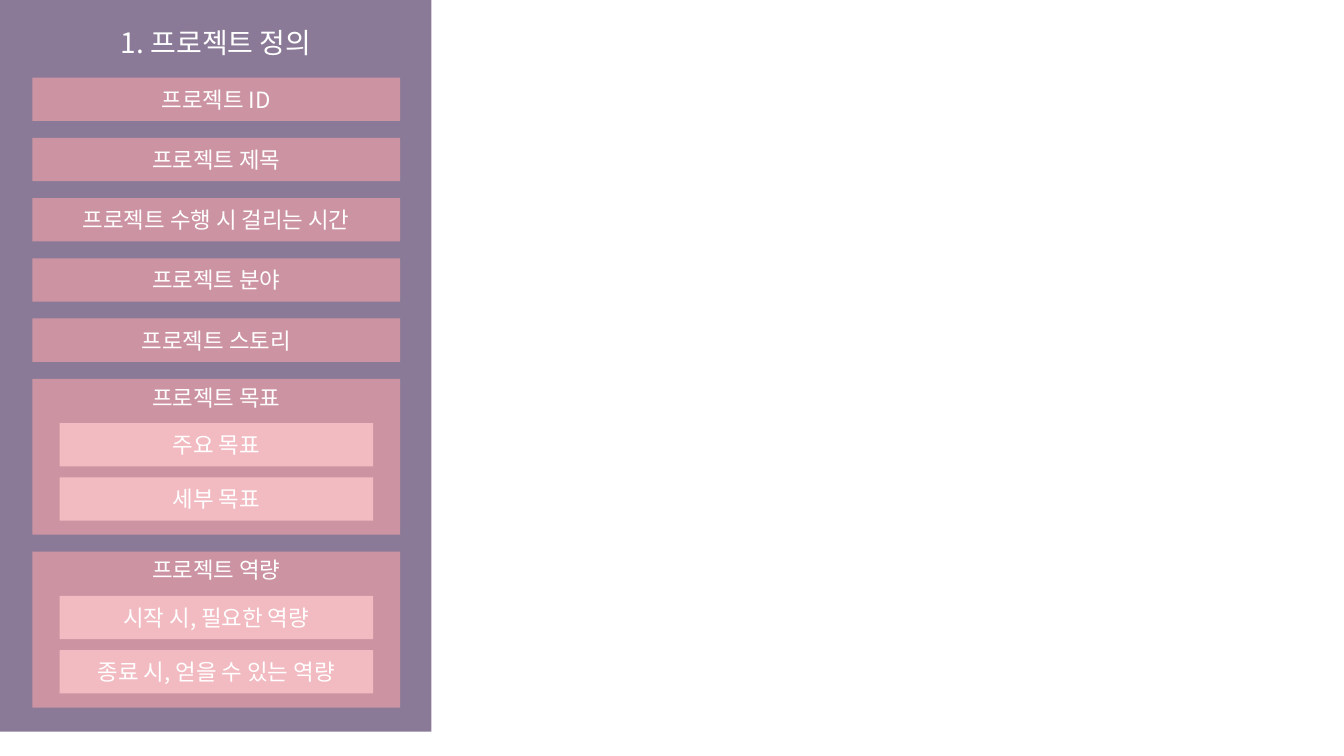
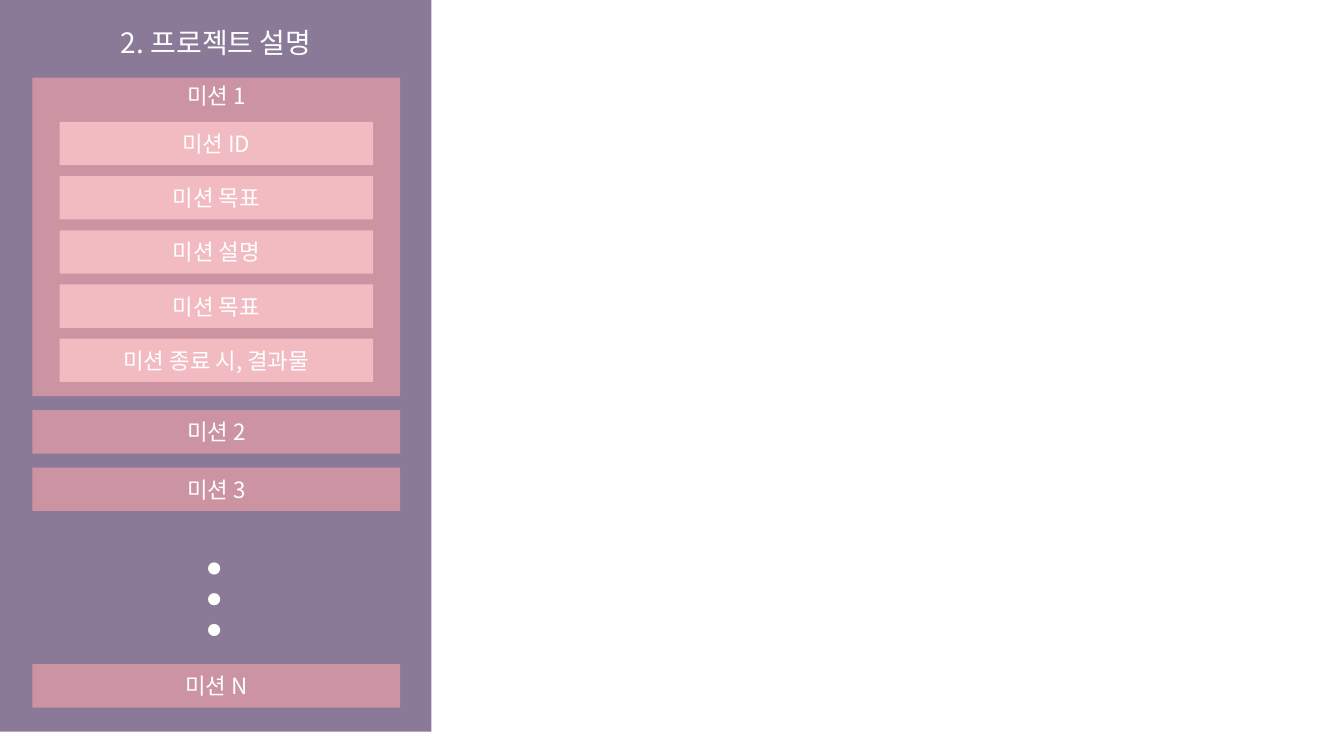
from lxml import etree
from pptx import Presentation
from pptx.dml.color import RGBColor
from pptx.enum import shapes, text
from pptx.oxml import ns
from pptx.util import Inches, Pt

DEFINITION = [
    ("프로젝트 ID", []),
    ("프로젝트 제목", []),
    ("프로젝트 수행 시 걸리는 시간", []),
    ("프로젝트 분야", []),
    ("프로젝트 스토리", []),
    ("프로젝트 목표", ["주요 목표", "세부 목표"]),
    ("프로젝트 역량", ["시작 시, 필요한 역량", "종료 시, 얻을 수 있는 역량"]),
]
FIRST_MISSIONS = [
    ("미션 1", ["미션 ID", "미션 목표", "미션 설명", "미션 목표", "미션 종료 시, 결과물"]),
    ("미션 2", []),
    ("미션 3", []),
]
LAST_MISSION = [("미션 N", [])]

COLORS = {"panel": "8A7A97", "section": "CC93A2", "detail": "F2BBC1", "text": "FFFFFF"}
FONT = "Noto Sans CJK KR"
PANEL_WIDTH, PANEL_HEIGHT = 4.28, 7.26
LEFT, WIDTH = 0.32, 3.65
TOP, BOTTOM = 0.77, 7.02
BAR = 0.43
INDENT = 0.27
HEADING, FOOT = 0.44, 0.14
DETAIL_GAP = BAR / 4
MISSION_GAP = 0.14


def write(holder, words, size, anchor=text.MSO_ANCHOR.MIDDLE):
    frame = holder.text_frame
    frame.text = words
    frame.word_wrap = True
    frame.auto_size = text.MSO_AUTO_SIZE.NONE
    frame.vertical_anchor = anchor
    paragraph = frame.paragraphs[0]
    paragraph.alignment = text.PP_ALIGN.CENTER
    font = paragraph.font
    font.size = Pt(size)
    font.color.rgb = RGBColor.from_string(COLORS["text"])
    font.name = FONT
    defaults = paragraph._p.pPr.find(ns.qn("a:defRPr"))
    etree.SubElement(defaults, ns.qn("a:ea")).set("typeface", FONT)


def add_box(slide, left, top, width, height, color):
    box = slide.shapes.add_shape(
        shapes.MSO_SHAPE.RECTANGLE, Inches(left), Inches(top), Inches(width), Inches(height))
    box.shadow.inherit = False
    box.fill.solid()
    box.fill.fore_color.rgb = RGBColor.from_string(COLORS[color])
    box.line.fill.background()
    return box


def section_height(details):
    if not details:
        return BAR
    return HEADING + len(details) * (BAR + DETAIL_GAP) - DETAIL_GAP + FOOT


def stack(slide, sections, top, gap):
    for heading, details in sections:
        height = section_height(details)
        section = add_box(slide, LEFT, top, WIDTH, height, "section")
        write(section, heading, 16, text.MSO_ANCHOR.TOP if details else text.MSO_ANCHOR.MIDDLE)
        for row, detail in enumerate(details):
            detail_top = top + HEADING + row * (BAR + DETAIL_GAP)
            write(add_box(slide, LEFT + INDENT, detail_top, WIDTH - 2 * INDENT, BAR, "detail"),
                  detail, 16)
        top += height + gap


def add_page(deck, heading):
    slide = deck.slides.add_slide(deck.slide_layouts[5])
    title = slide.shapes.title
    title.left, title.top = Inches(LEFT), Inches(0.2)
    title.width, title.height = Inches(WIDTH), Inches(BAR)
    write(title, heading, 20)
    panel = add_box(slide, 0, 0, PANEL_WIDTH, PANEL_HEIGHT, "panel")
    title._element.addprevious(panel._element)
    return slide


deck = Presentation()
deck.slide_width, deck.slide_height = Inches(13.33), Inches(7.5)

definition = add_page(deck, "1. 프로젝트 정의")
used = sum(section_height(details) for _, details in DEFINITION)
stack(definition, DEFINITION, TOP, (BOTTOM - TOP - used) / (len(DEFINITION) - 1))

description = add_page(deck, "2. 프로젝트 설명")
stack(description, FIRST_MISSIONS, TOP, MISSION_GAP)
stack(description, LAST_MISSION, BOTTOM - BAR, MISSION_GAP)
ellipsis = description.shapes.add_textbox(
    Inches(LEFT), Inches(5.39), Inches(WIDTH), Inches(0.88))
write(ellipsis, "…", 66)
ellipsis.text_frame._txBody.bodyPr.set("vert", "eaVert")

deck.save("out.pptx")
